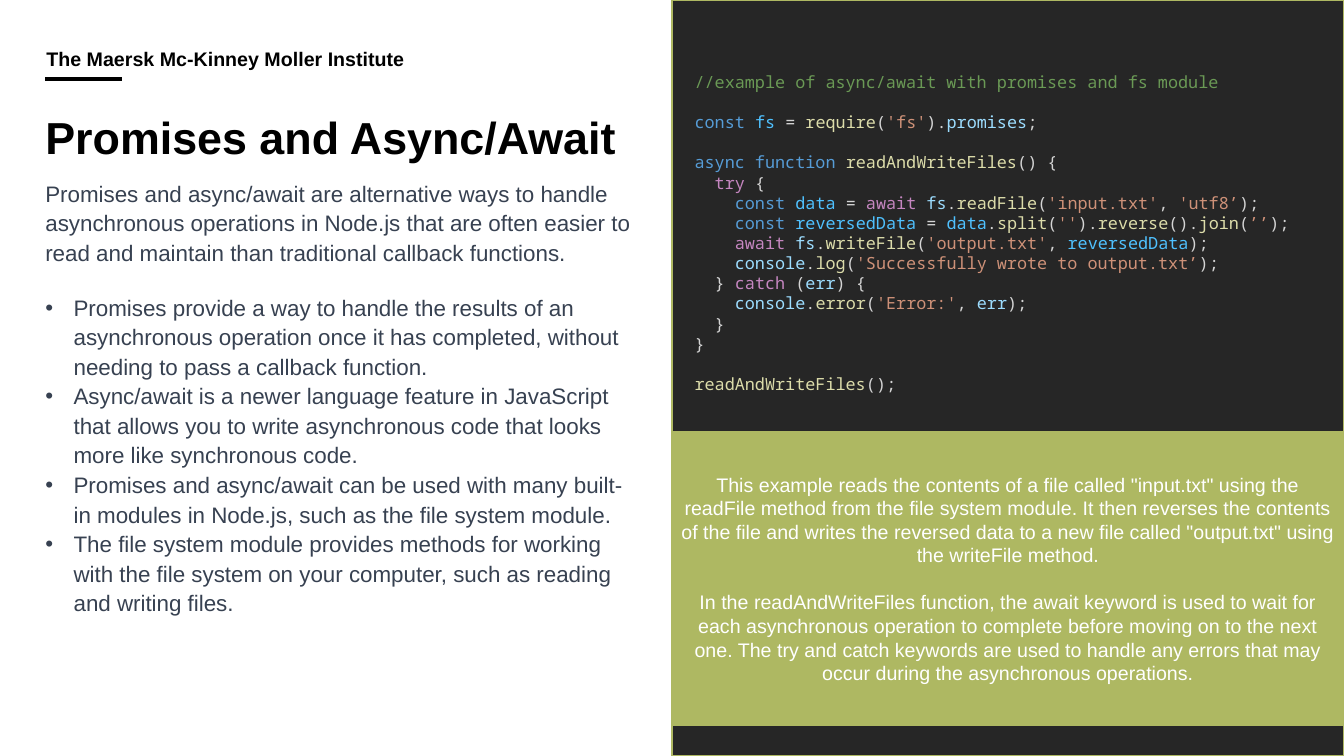
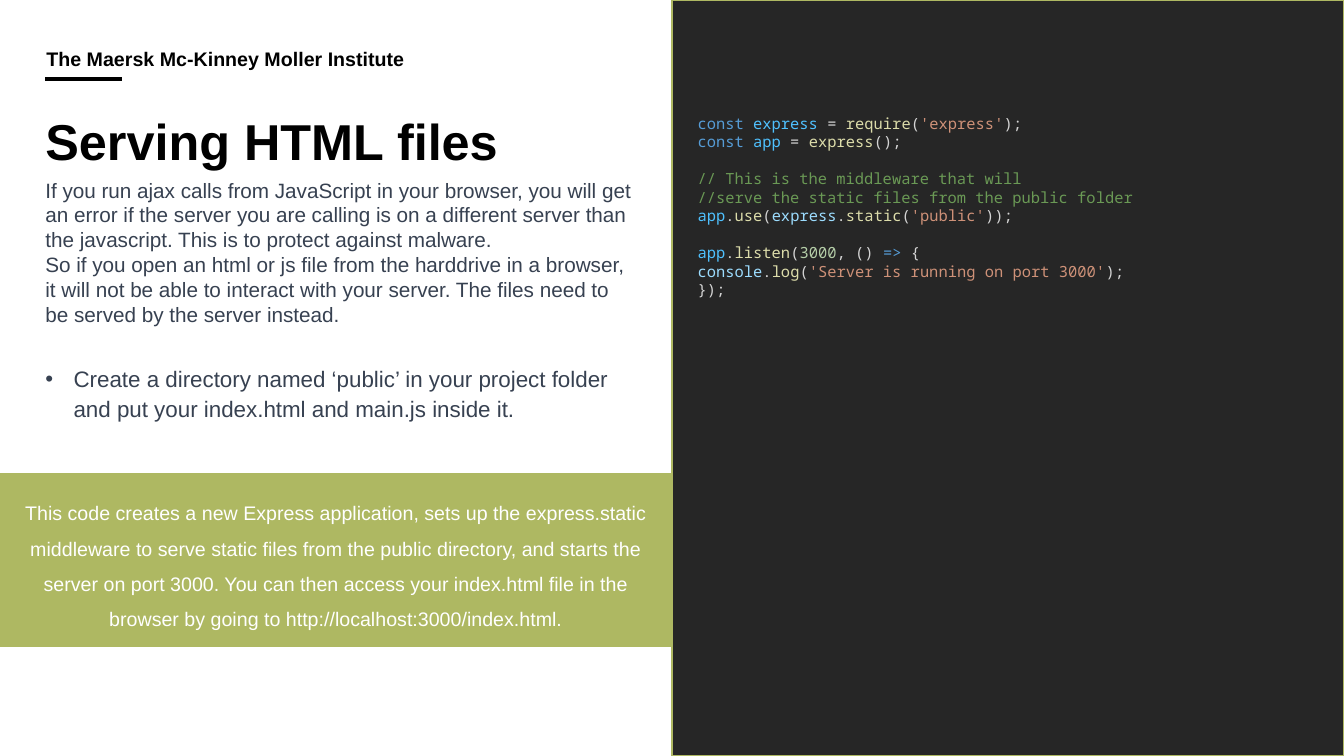
from pptx import Presentation
from pptx.dml.color import RGBColor
from pptx.enum.shapes import MSO_CONNECTOR as Connector, MSO_SHAPE as Shape
from pptx.enum.text import MSO_ANCHOR as Anchor, MSO_AUTO_SIZE as AutoSize, PP_ALIGN as Align
from pptx.oxml.ns import qn
from pptx.util import Inches, Pt
from lxml.etree import SubElement

BLACK = RGBColor(0x00, 0x00, 0x00)
WHITE = RGBColor(0xFF, 0xFF, 0xFF)
SLATE = RGBColor(0x37, 0x41, 0x51)
OLIVE = RGBColor(0xAE, 0xB8, 0x62)
DARK = RGBColor(0x26, 0x26, 0x26)

COMMENT = RGBColor(0x6A, 0x99, 0x55)
KEYWORD = RGBColor(0x56, 0x9C, 0xD6)
CONTROL = RGBColor(0xC5, 0x86, 0xC0)
CONSTANT = RGBColor(0x4F, 0xC1, 0xFF)
VARIABLE = RGBColor(0x9C, 0xDC, 0xFE)
FUNCTION = RGBColor(0xDC, 0xDC, 0xAA)
STRING = RGBColor(0xCE, 0x91, 0x78)
NUMBER = RGBColor(0xB5, 0xCE, 0xA8)
PLAIN = RGBColor(0xD4, 0xD4, 0xD4)

TEXT_FONT, CODE_FONT = "Arial", "Noto Sans Mono"
LINE_RATIO = 1.2
WIDTH, HEIGHT = 13.33, 7.5
HALF = WIDTH / 2
MARGIN = 0.45
COLUMN = 5.84
BULLET_INDENT = 0.28

INSTITUTE = "The Maersk Mc-Kinney Moller Institute"

FILES_CODE = [
    [
        [(COMMENT, "//example of async/await with promises and fs module")],
    ],
    [
        [(KEYWORD, "const "), (CONSTANT, "fs"), (PLAIN, " = "), (FUNCTION, "require"),
         (PLAIN, "("), (STRING, "'fs'"), (PLAIN, ")."), (VARIABLE, "promises"), (PLAIN, ";")],
    ],
    [
        [(KEYWORD, "async function "), (FUNCTION, "readAndWriteFiles"), (PLAIN, "() {")],
        [(CONTROL, "  try"), (PLAIN, " {")],
        [(KEYWORD, "    const "), (CONSTANT, "data"), (PLAIN, " = "), (CONTROL, "await "),
         (VARIABLE, "fs"), (PLAIN, "."), (FUNCTION, "readFile"), (PLAIN, "("),
         (STRING, "'input.txt'"), (PLAIN, ", "), (STRING, "'utf8’"), (PLAIN, ");")],
        [(KEYWORD, "    const "), (CONSTANT, "reversedData"), (PLAIN, " = "),
         (CONSTANT, "data"), (PLAIN, "."), (FUNCTION, "split"), (PLAIN, "("),
         (STRING, "''"), (PLAIN, ")."), (FUNCTION, "reverse"), (PLAIN, "()."),
         (FUNCTION, "join"), (PLAIN, "("), (STRING, "’’"), (PLAIN, ");")],
        [(CONTROL, "    await "), (VARIABLE, "fs"), (PLAIN, "."), (FUNCTION, "writeFile"),
         (PLAIN, "("), (STRING, "'output.txt'"), (PLAIN, ", "),
         (CONSTANT, "reversedData"), (PLAIN, ");")],
        [(VARIABLE, "    console"), (PLAIN, "."), (FUNCTION, "log"), (PLAIN, "("),
         (STRING, "'Successfully wrote to output.txt’"), (PLAIN, ");")],
        [(PLAIN, "  } "), (CONTROL, "catch"), (PLAIN, " ("), (VARIABLE, "err"), (PLAIN, ") {")],
        [(VARIABLE, "    console"), (PLAIN, "."), (FUNCTION, "error"), (PLAIN, "("),
         (STRING, "'Error:'"), (PLAIN, ", "), (VARIABLE, "err"), (PLAIN, ");")],
        [(PLAIN, "  }")],
        [(PLAIN, "}")],
    ],
    [
        [(FUNCTION, "readAndWriteFiles"), (PLAIN, "();")],
    ],
]

SERVER_CODE = [
    [
        [(KEYWORD, "const "), (CONSTANT, "express"), (PLAIN, " = "), (FUNCTION, "require"),
         (PLAIN, "("), (STRING, "'express'"), (PLAIN, ");")],
        [(KEYWORD, "const "), (CONSTANT, "app"), (PLAIN, " = "), (FUNCTION, "express"),
         (PLAIN, "();")],
    ],
    [
        [(COMMENT, "// This is the middleware that will")],
        [(COMMENT, "//serve the static files from the public folder")],
        [(CONSTANT, "app"), (PLAIN, "."), (FUNCTION, "use"), (PLAIN, "("),
         (VARIABLE, "express"), (PLAIN, "."), (FUNCTION, "static"), (PLAIN, "("),
         (STRING, "'public'"), (PLAIN, "));")],
    ],
    [
        [(CONSTANT, "app"), (PLAIN, "."), (FUNCTION, "listen"), (PLAIN, "("),
         (NUMBER, "3000"), (PLAIN, ", () "), (KEYWORD, "=>"), (PLAIN, " {")],
        [(VARIABLE, "console"), (PLAIN, "."), (FUNCTION, "log"), (PLAIN, "("),
         (STRING, "'Server is running on port 3000'"), (PLAIN, ");")],
        [(PLAIN, "});")],
    ],
]

PROMISES_INTRO = [
    "Promises and async/await are alternative ways to handle asynchronous operations in "
    "Node.js that are often easier to read and maintain than traditional callback functions.",
]
PROMISES_POINTS = [
    "Promises provide a way to handle the results of an asynchronous operation once it has "
    "completed, without needing to pass a callback function.",
    "Async/await is a newer language feature in JavaScript that allows you to write "
    "asynchronous code that looks more like synchronous code.",
    "Promises and async/await can be used with many built-in modules in Node.js, such as the "
    "file system module.",
    "The file system module provides methods for working with the file system on your "
    "computer, such as reading and writing files.",
]
PROMISES_EXPLANATION = [
    "This example reads the contents of a file called \"input.txt\" using the readFile method "
    "from the file system module. It then reverses the contents of the file and writes the "
    "reversed data to a new file called \"output.txt\" using the writeFile method.",
    "In the readAndWriteFiles function, the await keyword is used to wait for each "
    "asynchronous operation to complete before moving on to the next one. The try and catch "
    "keywords are used to handle any errors that may occur during the asynchronous operations.",
]
SERVING_INTRO = [
    "If you run ajax calls from JavaScript in your browser, you will get an error if the "
    "server you are calling is on a different server than the javascript. This is to protect "
    "against malware.",
    "So if you open an html or js file from the harddrive in a browser, it will not be able "
    "to interact with your server. The files need to be served by the server instead.",
]
SERVING_POINTS = [
    "Create a directory named ‘public’ in your project folder and put your index.html and "
    "main.js inside it.",
]
SERVING_EXPLANATION = [
    "This code creates a new Express application, sets up the express.static middleware to "
    "serve static files from the public directory, and starts the server on port 3000. You "
    "can then access your index.html file in the browser by going to "
    "http://localhost:3000/index.html.",
]


def inches(*lengths):
    return [Inches(length) for length in lengths]


def place(shape, box):
    shape.left, shape.top, shape.width, shape.height = inches(*box)


def prepare_frame(frame, insets=(0, 0, 0, 0), anchor=Anchor.TOP):
    frame.word_wrap = True
    frame.auto_size = AutoSize.NONE
    frame.vertical_anchor = anchor
    (frame.margin_left, frame.margin_top,
     frame.margin_right, frame.margin_bottom) = inches(*insets)


def set_bullet(paragraph, bulleted):
    props = paragraph._p.get_or_add_pPr()
    indent = Inches(BULLET_INDENT) if bulleted else 0
    props.set("marL", str(indent))
    props.set("indent", str(-indent))
    if bulleted:
        SubElement(props, qn("a:buFont")).set("typeface", TEXT_FONT)
        SubElement(props, qn("a:buChar")).set("char", "•")
    else:
        SubElement(props, qn("a:buNone"))


def write(frame, texts, size, color, spacing=1.0, gap=0, align=Align.LEFT,
          bold=False, bulleted=False):
    frame.text = "\n".join(texts)
    for number, paragraph in enumerate(frame.paragraphs):
        set_bullet(paragraph, bulleted)
        paragraph.alignment = align
        paragraph.line_spacing = spacing
        paragraph.space_before = Pt(gap if number else 0)
        for run in paragraph.runs:
            run.font.name, run.font.size, run.font.bold = TEXT_FONT, Pt(size), bold
            run.font.color.rgb = color


def add_text(slide, box, texts, size, color, insets=(0, 0, 0, 0), anchor=Anchor.TOP, **style):
    frame = slide.shapes.add_textbox(*inches(*box)).text_frame
    prepare_frame(frame, insets, anchor)
    write(frame, texts, size, color, **style)


def fill_body(slide, box, texts, size, **style):
    body = slide.placeholders[1]
    place(body, box)
    prepare_frame(body.text_frame)
    write(body.text_frame, texts, size, SLATE, **style)


def add_panel(slide, box, color):
    panel = slide.shapes.add_shape(Shape.RECTANGLE, *inches(*box))
    panel.shadow.inherit = False
    panel.fill.solid()
    panel.fill.fore_color.rgb = color
    panel.line.color.rgb = OLIVE
    panel.line.width = Pt(1)
    return panel


def add_explanation(slide, box, texts, **style):
    frame = add_panel(slide, box, OLIVE).text_frame
    prepare_frame(frame, (0.08,) * 4, Anchor.MIDDLE)
    write(frame, texts, 14, WHITE, align=Align.CENTER, **style)


def add_code(slide, box, blocks, size):
    frame = slide.shapes.add_textbox(*inches(*box)).text_frame
    prepare_frame(frame, (0.1, 0.05, 0.1, 0.05))
    lines = [(row == 0, line) for block in blocks for row, line in enumerate(block)]
    frame.text = "\n".join("" for _ in lines)
    for number, (starts_block, line) in enumerate(lines):
        paragraph = frame.paragraphs[number]
        paragraph.space_before = Pt(size * LINE_RATIO if number and starts_block else 0)
        for color, token in line:
            run = paragraph.add_run()
            run.text = token
            run.font.name, run.font.size = CODE_FONT, Pt(size)
            run.font.color.rgb = color


def move_header_to_layout(slide, layout):
    for holder in list(layout.placeholders):
        if holder.placeholder_format.idx > 1:
            holder.element.getparent().remove(holder.element)
    rule = slide.shapes.add_connector(Connector.STRAIGHT, *inches(MARGIN, 0.78, 1.21, 0.78))
    rule.line.color.rgb = BLACK
    rule.line.width = Pt(3)
    SubElement(rule.element.spPr, qn("a:effectLst"))
    add_text(slide, (MARGIN, 0.49, 6.22, 0.31), [INSTITUTE], 14, BLACK,
             insets=(0.01, 0, 0, 0.1), anchor=Anchor.BOTTOM, spacing=0.9, bold=True)
    for part in list(slide.shapes)[-2:]:
        layout.shapes.element.append(part.element)


def start_slide(deck, layout, title, size):
    slide = deck.slides.add_slide(layout)
    place(slide.shapes.title, (MARGIN, 1.09, 6, 0.74))
    prepare_frame(slide.shapes.title.text_frame)
    write(slide.shapes.title.text_frame, [title], size, BLACK, bold=True)
    return slide


def main():
    deck = Presentation()
    deck.slide_width, deck.slide_height = inches(WIDTH, HEIGHT)
    layout = deck.slide_layouts[1]
    code_panel = (HALF, 0, HALF, HEIGHT)

    promises = start_slide(deck, layout, "Promises and Async/Await", 32)
    move_header_to_layout(promises, layout)
    add_panel(promises, code_panel, DARK)
    add_text(promises, (MARGIN, 1.76, COLUMN, 1.13), PROMISES_INTRO, 16, SLATE, spacing=1.1)
    fill_body(promises, (MARGIN, 2.89, COLUMN, 3.96), PROMISES_POINTS, 16,
              spacing=1.1, bulleted=True)
    add_code(promises, (6.79, 0.66, 6.35, 3.33), FILES_CODE, 12)
    add_explanation(promises, (HALF, 4.28, HALF, 2.92), PROMISES_EXPLANATION,
                    gap=14 * LINE_RATIO)

    serving = start_slide(deck, layout, "Serving HTML files", 36)
    add_panel(serving, code_panel, DARK)
    fill_body(serving, (MARGIN, 1.76, COLUMN, 1.6), SERVING_INTRO, 14.8)
    add_text(serving, (MARGIN, 3.6, COLUMN, 0.86), SERVING_POINTS, 16, SLATE,
             spacing=1.1, bulleted=True)
    add_code(serving, (6.82, 1.08, 6.3, 1.95), SERVER_CODE, 11)
    add_explanation(serving, (0, 4.7, HALF, 1.71), SERVING_EXPLANATION, spacing=1.5)

    deck.save("out.pptx")


if __name__ == "__main__":
    main()
